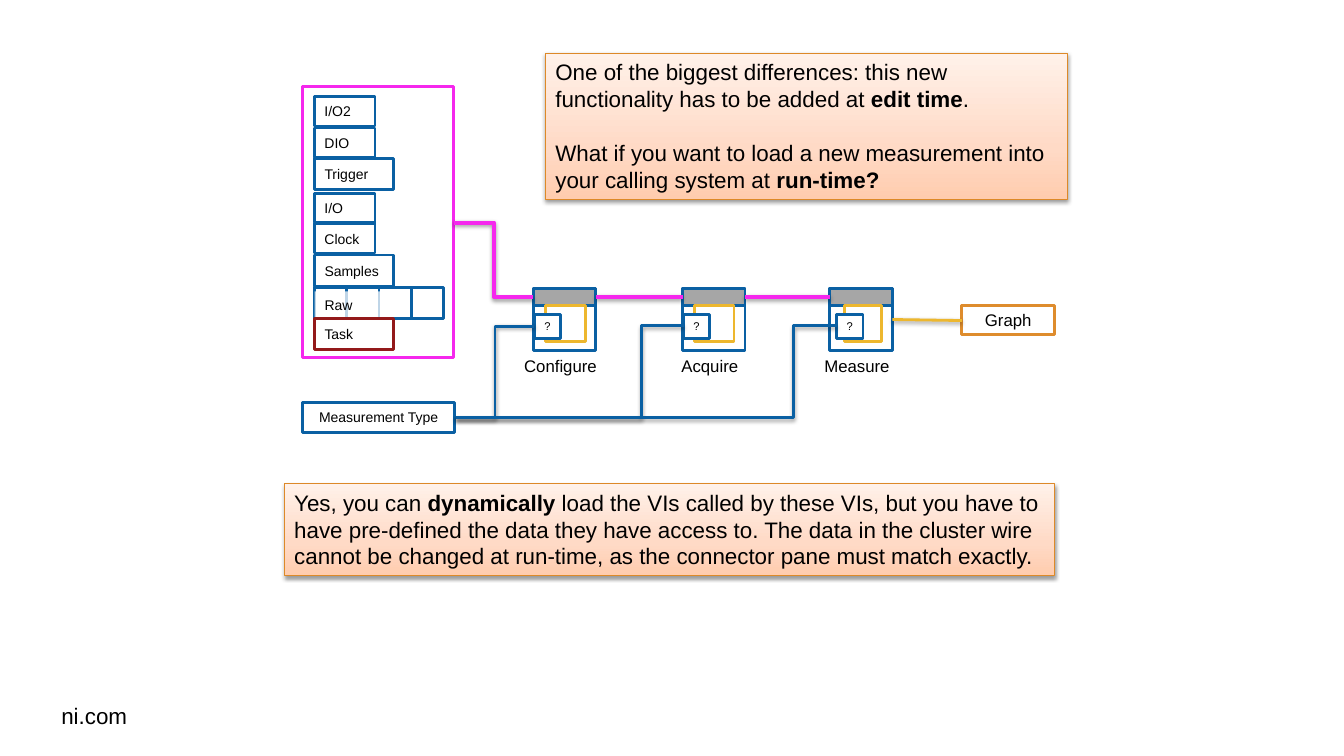
from lxml import etree
from pptx import Presentation
from pptx.dml.color import RGBColor
from pptx.enum.shapes import MSO_CONNECTOR, MSO_SHAPE
from pptx.enum.text import MSO_ANCHOR, MSO_AUTO_SIZE, PP_ALIGN
from pptx.oxml import parse_xml
from pptx.oxml.ns import nsdecls, qn
from pptx.util import Inches, Pt

RECTANGLE = MSO_SHAPE.RECTANGLE
STRAIGHT, ELBOW = MSO_CONNECTOR.STRAIGHT, MSO_CONNECTOR.ELBOW
LEFT, CENTER = PP_ALIGN.LEFT, PP_ALIGN.CENTER
TOP, MIDDLE = MSO_ANCHOR.TOP, MSO_ANCHOR.MIDDLE

BLACK = RGBColor(0x00, 0x00, 0x00)
WHITE = RGBColor(0xFF, 0xFF, 0xFF)
GRAY = RGBColor(0xA6, 0xA6, 0xA6)
BLUE = RGBColor(0x0A, 0x60, 0xA3)
MAGENTA = RGBColor(0xF5, 0x27, 0xED)
YELLOW = RGBColor(0xED, 0xB7, 0x2E)
ORANGE = RGBColor(0xDE, 0x8C, 0x2D)
CALLOUT_LINE = RGBColor(0xDD, 0x89, 0x28)
RED = RGBColor(0x93, 0x19, 0x1A)
PEACH_STOPS = (
    (0, RGBColor(0xFF, 0xCC, 0xAE)),
    (35, RGBColor(0xFF, 0xDA, 0xC6)),
    (100, RGBColor(0xFF, 0xF1, 0xE9)),
)

FONT = "Arial"
STAGE_SIZE = 0.62
HEADER_HEIGHT = 0.17


def write_text(shape, paragraphs, size, align=LEFT, anchor=TOP, wrap=True, gap=0):
    frame = shape.text_frame
    frame.word_wrap = wrap
    frame.auto_size = MSO_AUTO_SIZE.NONE
    frame.vertical_anchor = anchor
    for index, runs in enumerate(paragraphs):
        paragraph = frame.paragraphs[0] if index == 0 else frame.add_paragraph()
        paragraph.alignment = align
        if index:
            paragraph.space_before = Pt(gap)
        for text, bold in runs:
            run = paragraph.add_run()
            run.text = text
            run.font.name = FONT
            run.font.size = Pt(size)
            run.font.bold = bold
            run.font.color.rgb = BLACK


def add_label(slide, box, text, size, align=LEFT):
    shape = slide.shapes.add_textbox(*map(Inches, box))
    write_text(shape, [[(text, False)]], size, align, wrap=False)


def add_box(slide, box, fill=WHITE, line=BLUE, width=2, text=None, size=10, **text_format):
    shape = slide.shapes.add_shape(RECTANGLE, *map(Inches, box))
    shape.shadow.inherit = False
    if fill is None:
        shape.fill.background()
    else:
        shape.fill.solid()
        shape.fill.fore_color.rgb = fill
    if line is None:
        shape.line.fill.background()
    else:
        shape.line.color.rgb = line
        shape.line.width = Pt(width)
    if text:
        write_text(shape, [[(text, False)]], size, **text_format)
    return shape


def add_shadow(shape):
    properties = shape._element.spPr
    for effects in properties.findall(qn("a:effectLst")):
        properties.remove(effects)
    properties.append(parse_xml(
        f'<a:effectLst {nsdecls("a")}>'
        '<a:outerShdw blurRad="39370" dist="20320" dir="5400000" rotWithShape="0">'
        '<a:srgbClr val="000000"><a:alpha val="38000"/></a:srgbClr>'
        '</a:outerShdw></a:effectLst>'))


def add_wire(slide, start, end, color, width=2, bend=None):
    kind = STRAIGHT if bend is None else ELBOW
    wire = slide.shapes.add_connector(kind, *map(Inches, start + end))
    wire.line.color.rgb = color
    wire.line.width = Pt(width)
    if bend is not None:
        adjustments = wire._element.spPr.find(qn("a:prstGeom")).get_or_add_avLst()
        share = (bend - start[0]) / (end[0] - start[0])
        etree.SubElement(adjustments, qn("a:gd"), name="adj1", fmla=f"val {round(share * 100000)}")
    add_shadow(wire)


def add_callout(slide, box, paragraphs):
    shape = add_box(slide, box, None, CALLOUT_LINE, 0.75)
    stops = "".join(
        f'<a:gs pos="{position * 1000}"><a:srgbClr val="{color}"/></a:gs>'
        for position, color in PEACH_STOPS)
    properties = shape._element.spPr
    properties.replace(properties.find(qn("a:noFill")), parse_xml(
        f'<a:gradFill {nsdecls("a")} rotWithShape="1"><a:gsLst>{stops}</a:gsLst>'
        '<a:lin ang="16200000" scaled="0"/></a:gradFill>'))
    add_shadow(shape)
    write_text(shape, paragraphs, 16, gap=19.2)


def add_stage(slide, left, top, name, inner_offset, inner_width, query_offset):
    add_box(slide, (left, top, STAGE_SIZE, STAGE_SIZE))
    add_box(slide, (left, top, STAGE_SIZE, HEADER_HEIGHT), GRAY)
    add_label(slide, (left - 0.18, top + STAGE_SIZE, 0.9, 0.3), name, 12, CENTER)
    add_box(slide, (left + inner_offset, top + HEADER_HEIGHT, inner_width, 0.36), None, YELLOW)
    add_box(slide, (left + query_offset, top + 0.26, 0.26, 0.24), text="?", size=8, wrap=False)


def add_cluster(slide, left, top):
    add_box(slide, (left, top, 1.5, 2.69), line=MAGENTA)
    item_left = left + 0.12
    raw_top = top + 1.99
    cell_width = 0.32
    for column in range(4):
        add_box(slide, (item_left + column * cell_width, raw_top, cell_width, 0.31))
    raw = add_box(slide, (item_left, raw_top + 0.04, 0.78, 0.27), line=None, text="Raw")
    color = raw._element.spPr.find(qn("a:solidFill")).find(qn("a:srgbClr"))
    etree.SubElement(color, qn("a:alpha"), val="74000")
    items = (
        ("I/O2", 0.1, 0.6, 0.29, BLUE),
        ("DIO", 0.41, 0.6, 0.29, BLUE),
        ("Trigger", 0.71, 0.78, 0.31, BLUE),
        ("I/O", 1.06, 0.6, 0.29, BLUE),
        ("Clock", 1.36, 0.6, 0.29, BLUE),
        ("Samples", 1.67, 0.78, 0.31, BLUE),
        ("Task", 2.3, 0.78, 0.31, RED),
    )
    for text, offset, width, height, line in items:
        add_box(slide, (item_left, top + offset, width, height), line=line,
                text=text, anchor=MIDDLE)


def add_pipeline(slide, top):
    stages = (
        (5.29, "Configure", 0.12, 0.4, 0.01, 4.91, 3.24),
        (6.77, "Acquire", 0.12, 0.39, 0.01, 6.36, 3.23),
        (8.23, "Measure", 0.15, 0.36, 0.07, 7.87, 3.23),
    )
    for left, name, inner_offset, inner_width, query_offset, _, _ in stages:
        add_stage(slide, left, top, name, inner_offset, inner_width, query_offset)
    data_height = top + HEADER_HEIGHT / 2
    for current, following in zip(stages, stages[1:]):
        add_wire(slide, (current[0] + STAGE_SIZE, data_height),
                 (following[0], data_height), MAGENTA, 3)
    add_wire(slide, (4.5, 2.21), (stages[0][0], data_height), MAGENTA, 3, 4.9)

    add_box(slide, (9.54, 3.03, 0.92, 0.29), line=ORANGE, text="Graph", size=12,
            align=CENTER, anchor=MIDDLE)
    add_wire(slide, (stages[-1][0] + STAGE_SIZE, 3.17), (9.54, 3.18), YELLOW)

    add_box(slide, (3, 3.99, 1.51, 0.3), text="Measurement Type", align=CENTER, anchor=MIDDLE)
    for left, _, _, _, query_offset, bend, query_height in stages:
        add_wire(slide, (4.52, 4.14), (left + query_offset, query_height), BLUE, bend=bend)


def main():
    presentation = Presentation()
    presentation.slide_width = Inches(13.33)
    presentation.slide_height = Inches(7.5)
    slide = presentation.slides.add_slide(presentation.slide_layouts[6])
    add_label(slide, (0.51, 6.92, 0.86, 0.37), "ni.com", 16)
    add_cluster(slide, 3, 0.86)
    add_pipeline(slide, 2.86)
    add_callout(slide, (5.41, 0.53, 5.18, 1.45), [
        [("One of the biggest differences: this new functionality has to be added at ", False),
         ("edit time", True), (".", False)],
        [("What if you want to load a new measurement into your calling system at ", False),
         ("run-time?", True)],
    ])
    add_callout(slide, (2.82, 4.8, 7.64, 0.91), [
        [("Yes, you can ", False), ("dynamically", True),
         (" load the VIs called by these VIs, but you have to have pre-defined the data they "
          "have access to. The data in the cluster wire cannot be changed at run-time, as the "
          "connector pane must match exactly.", False)],
    ])
    presentation.save("out.pptx")


if __name__ == "__main__":
    main()
